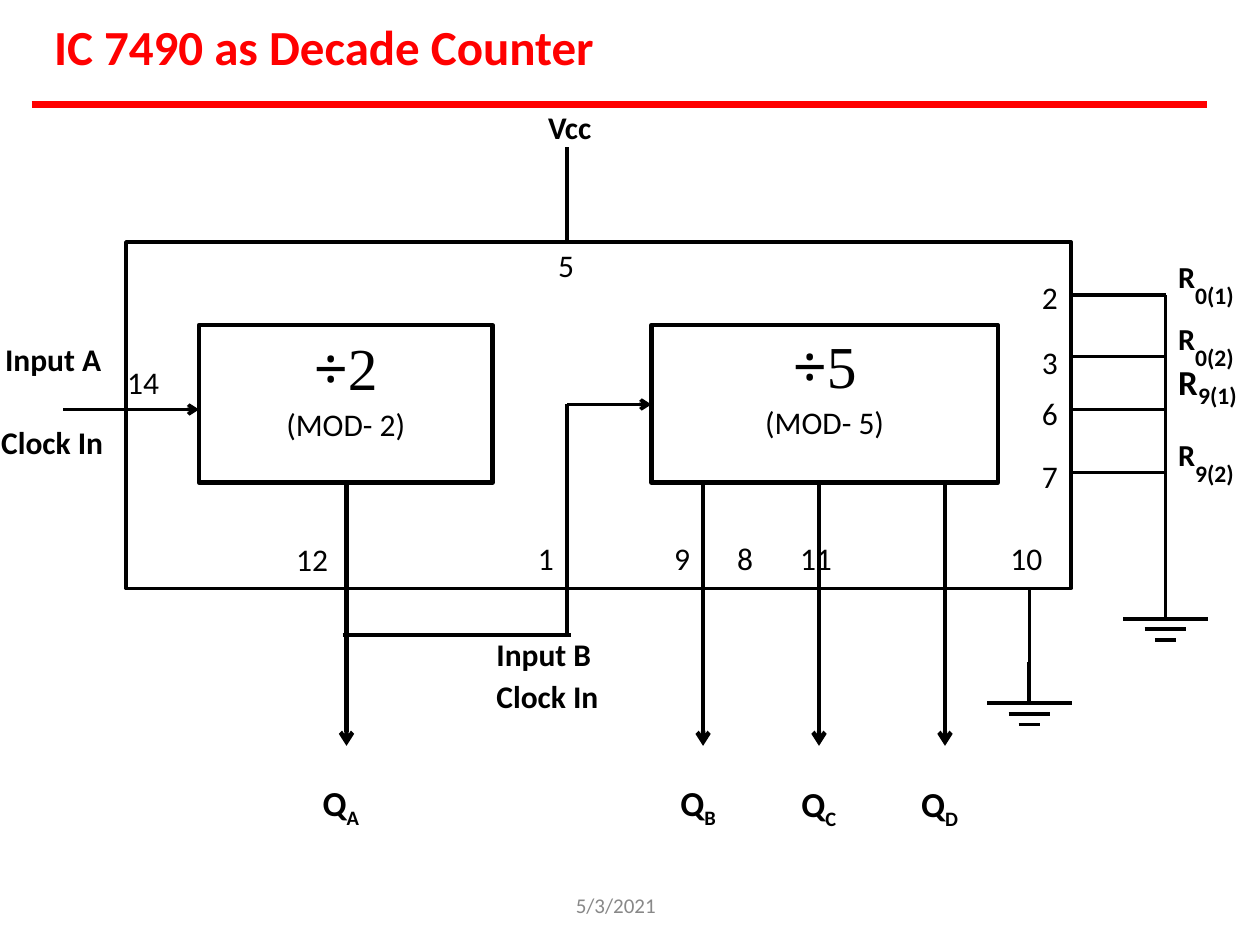
from lxml import etree
from pptx import Presentation
from pptx.dml.color import RGBColor
from pptx.enum.shapes import MSO_CONNECTOR as Link, MSO_SHAPE as Shape
from pptx.enum.text import MSO_ANCHOR as Anchor, PP_ALIGN as Align
from pptx.oxml.ns import qn
from pptx.util import Inches, Pt

RED = RGBColor(0xFF, 0x00, 0x00)
BLACK = RGBColor(0x00, 0x00, 0x00)
GRAY = RGBColor(0x88, 0x88, 0x88)
BODY = "Calibri"


def add_run(paragraph, text, size, color=BLACK, bold=False, font=BODY, baseline=0):
    run = paragraph.add_run()
    run.text = text
    run.font.size = Pt(size)
    run.font.name = font
    run.font.bold = bold
    run.font.color.rgb = color
    if baseline:
        run._r.get_or_add_rPr().set("baseline", str(baseline * 1000))


def prepare_frame(shape, inset_top):
    frame = shape.text_frame
    frame.word_wrap = True
    frame.vertical_anchor = Anchor.TOP
    frame.margin_left = frame.margin_right = frame.margin_bottom = 0
    frame.margin_top = Inches(inset_top)
    return frame


def add_label(slide, left, top, width, height, lines, inset_top=0.01,
              indent=0.01, gap=0):
    """Each line is a list of (text, size, options) runs."""
    box = slide.shapes.add_textbox(Inches(left), Inches(top), Inches(width), Inches(height))
    frame = prepare_frame(box, inset_top)
    for number, runs in enumerate(lines):
        paragraph = frame.add_paragraph() if number else frame.paragraphs[0]
        paragraph._p.get_or_add_pPr().set("marL", str(Inches(indent)))
        if number:
            paragraph.space_before = Pt(gap)
        for text, size, options in runs:
            add_run(paragraph, text, size, **options)


def add_text(slide, left, top, width, text, size=18, height=0.33, **options):
    add_label(slide, left, top, width, height, [[(text, size, options)]])


def add_wire(slide, x1, y1, x2, y2, width=2, color=BLACK, arrow=False):
    wire = slide.shapes.add_connector(
        Link.STRAIGHT, Inches(x1), Inches(y1), Inches(x2), Inches(y2))
    wire.line.color.rgb = color
    wire.line.width = Pt(width)
    if arrow:
        etree.SubElement(wire.line._get_or_add_ln(), qn("a:tailEnd"), type="arrow")
    etree.SubElement(wire._element.spPr, qn("a:effectLst"))


def add_block(slide, left, top, width, height, line_width):
    block = slide.shapes.add_shape(
        Shape.RECTANGLE, Inches(left), Inches(top), Inches(width), Inches(height))
    block.shadow.inherit = False
    block.fill.background()
    block.line.color.rgb = BLACK
    block.line.width = Pt(line_width)
    return block


def add_header(slide, left, top, width):
    add_text(slide, left + 0.17, top, 4.34, "IC 7490 as Decade Counter",
             size=28, height=0.5, color=RED, bold=True)
    add_wire(slide, left, top + 0.71, left + width, top + 0.71, 4, RED)


def add_divider(slide, left, top, width, height, modulus, inset_top, gap):
    block = add_block(slide, left, top, width, height, 2.5)
    frame = prepare_frame(block, inset_top)
    ratio, note = frame.paragraphs[0], frame.add_paragraph()
    ratio.alignment = note.alignment = Align.CENTER
    note.space_before = Pt(gap)
    add_run(ratio, "÷", 34, font="Noto Sans")
    add_run(ratio, modulus, 34, font="Times New Roman")
    add_run(note, f"(MOD- {modulus})", 18)


def add_ground(slide, center, top):
    """A stem ending in three bars that get shorter."""
    add_wire(slide, center, top, center, top + 0.33, 2.25)
    for step, width in enumerate((0.67, 0.33, 0.17)):
        y = top + 0.33 + step * 0.085
        add_wire(slide, center - width / 2, y, center + width / 2, y, 2.25)


def add_output(slide, x, top, letter, label_left, label_top):
    add_wire(slide, x, top, x, top + 2.09, 2.5, arrow=True)
    bold = {"bold": True}
    add_label(slide, label_left, label_top, 0.39, 0.36,
              [[("Q", 20, bold), (letter, 20.2, {"bold": True, "baseline": -25})]],
              indent=0.04)


def add_chip(slide, left, top, width, height):
    bottom, middle = top + height, left + 3.5
    add_block(slide, left, top, width, height, 2)
    add_divider(slide, left + 0.58, top + 0.66, 2.33, 1.25, "2", 0.05, 1.3)
    add_divider(slide, left + 4.17, top + 0.66, 2.75, 1.25, "5", 0.03, 1.8)

    # Supply, clock inputs and the link from QA to input B
    add_wire(slide, middle, top - 0.75, middle, top)
    add_text(slide, middle - 0.16, top - 1.07, 0.37, "Vcc", bold=True)
    add_wire(slide, left - 0.5, top + 1.33, left + 0.58, top + 1.33, arrow=True)
    add_text(slide, left - 0.97, top + 0.77, 0.79, "Input A", bold=True)
    add_text(slide, left - 1, top + 1.43, 0.84, "Clock In", bold=True)
    add_wire(slide, middle, top + 1.29, left + 4.17, top + 1.29, arrow=True)
    add_wire(slide, middle, top + 1.29, middle, bottom + 0.37)
    add_wire(slide, left + 1.72, bottom + 0.37, middle + 0.03, bottom + 0.37)
    bold = {"bold": True}
    add_label(slide, left + 2.92, bottom + 0.32, 0.84, 0.7,
              [[("Input B", 18, bold)], [("Clock In", 18, bold)]],
              inset_top=0.05, indent=0.02, gap=2.4)

    # Outputs
    for letter, x, label_left, label_top in (
            ("A", 1.75, 1.52, 4.27), ("B", 4.58, 4.36, 4.27),
            ("C", 5.5, 5.32, 4.28), ("D", 6.5, 6.27, 4.28)):
        add_output(slide, left + x, top + 1.91, letter, left + label_left, top + label_top)

    # Pin numbers
    for pin, x, y, pin_width in (
            ("14", 0, 0.95, 0.28), ("5", 3.42, 0.02, 0.15),
            ("12", 1.34, 2.36, 0.28), ("1", 3.26, 2.35, 0.15),
            ("9\t8\t11", 4.34, 2.35, 2.07), ("10", 7.01, 2.35, 0.28),
            ("2", 7.26, 0.28, 0.15), ("7", 7.26, 1.7, 0.15)):
        add_text(slide, left + x, top + y, pin_width, pin)
    add_label(slide, left + 7.26, top + 0.68, 0.15, 0.84,
              [[("3", 18, {})], [("6", 18, {})]], inset_top=0.12, gap=7.5)

    # Ground of pin 10
    add_wire(slide, left + 7.17, bottom, left + 7.17, bottom + 0.75)
    add_ground(slide, left + 7.17, bottom + 0.58)


def add_resets(slide, left, top, width):
    """Reset pins joined on one rail that runs to ground."""
    rail = left + width
    for offset in (0, 0.49, 0.91, 1.41):
        add_wire(slide, left, top + offset, rail, top + offset)
    add_wire(slide, rail, top, rail, top + 2.31)
    add_ground(slide, rail, top + 2.24)
    for name, offset in (("0(1)", -0.35), ("0(2)", 0.14), ("9(2)", 1.06)):
        add_label(slide, rail + 0.06, top + offset, 0.54, 0.36,
                  [[("R", 30, {"bold": True, "baseline": 30}),
                    (name, 13.5, {"bold": True})]], indent=0.04)
    add_text(slide, rail + 0.09, top + 0.51, 0.18, "R", size=20, height=0.36, bold=True)
    add_text(slide, rail + 0.25, top + 0.67, 0.33, "9(1)", size=13.5, height=0.25, bold=True)


def main():
    deck = Presentation()
    deck.slide_width, deck.slide_height = Inches(10), Inches(7.5)
    slide = deck.slides.add_slide(deck.slide_layouts[6])
    add_header(slide, 0.25, 0.12, 9.33)
    add_chip(slide, 1, 1.92, 7.5, 2.75)
    add_resets(slide, 8.5, 2.34, 0.75)
    add_text(slide, 4.56, 7.07, 0.88, "5/3/2021", size=12, height=0.19, color=GRAY)
    deck.save("out.pptx")


if __name__ == "__main__":
    main()
